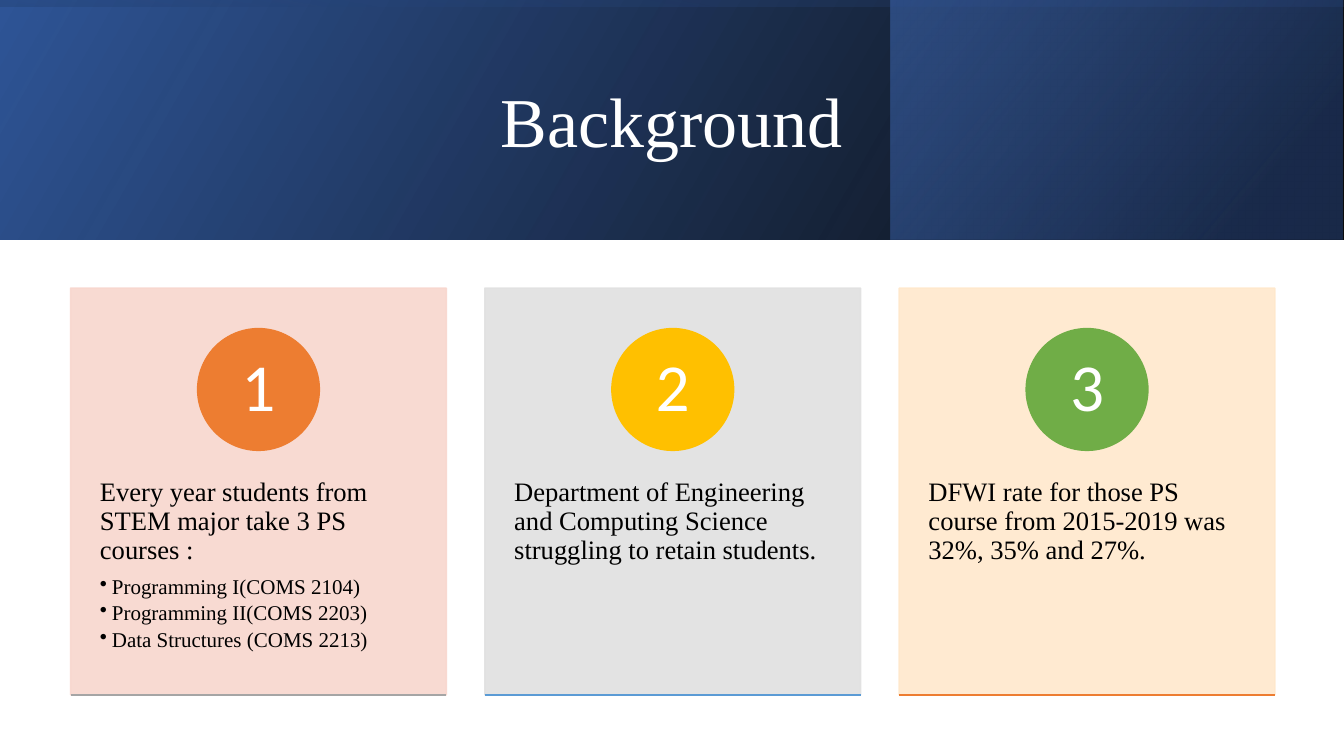
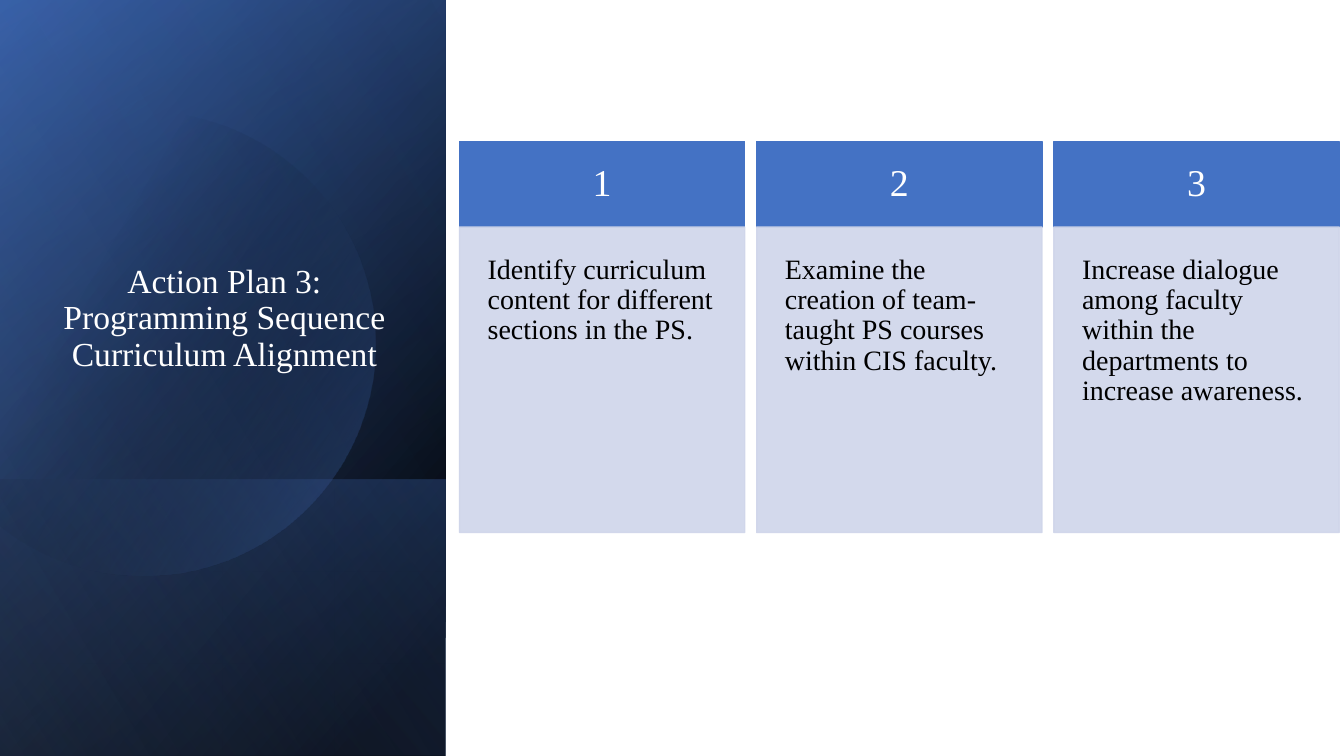
import math
from itertools import cycle

from lxml import etree
from pptx import Presentation
from pptx.dml.color import RGBColor
from pptx.enum import shapes as kinds, text as txt
from pptx.oxml.ns import qn
from pptx.util import Cm, Pt

HUES = {
    "black": "000000", "white": "FFFFFF", "navy": "2F5597", "deep": "203864",
    "blue": "4472C4", "mist": "8FAADC", "sky": "5B9BD5", "pale": "CFD5EA",
    "orange": "ED7D31", "gold": "FFC000", "green": "70AD47", "gray": "A5A5A5",
    "pink": "F8D7CE", "silver": "E1E1E1", "cream": "FFE8CC",
}
SERIF, SANS = "Times New Roman", "Calibri"
WIDE, HIGH = 33.87, 19.05
LEFT, MID = txt.PP_ALIGN.LEFT, txt.PP_ALIGN.CENTER
RECT, OVAL = kinds.MSO_SHAPE.RECTANGLE, kinds.MSO_SHAPE.OVAL

CARDS = [
    ("pink", "orange", "gray",
     ["Every year students from STEM major take 3 PS courses :",
      "Programming I(COMS 2104)",
      "Programming II(COMS 2203)",
      "Data Structures (COMS 2213)"]),
    ("silver", "gold", "sky",
     ["Department of Engineering and Computing Science struggling "
      "to retain students."]),
    ("cream", "green", "orange",
     ["DFWI rate for those PS course from 2015-2019 was 32%, 35% and 27%."]),
]
STEPS = [
    "Identify curriculum content for different sections in the PS.",
    "Examine the creation of team-taught PS courses within CIS faculty.",
    "Increase dialogue among faculty within the departments to "
    "increase awareness.",
]


def hue(name):
    return RGBColor.from_string(HUES[name])


def fade(shape, *rates):
    """Set the opacity, in percent, of the shape's colours in turn."""
    colors = shape._element.spPr.iter(qn("a:srgbClr"))
    for color, rate in zip(colors, cycle(rates)):
        if rate < 100:
            etree.SubElement(color, qn("a:alpha")).set("val", str(rate * 1000))


def blend(shape, angle, stops):
    """Fill with a gradient; angle is clockwise, a stop is (place, hue, opacity)."""
    shape.shadow.inherit = False
    shape.line.fill.background()
    shape.fill.gradient()
    shape.fill.gradient_angle = (360 - angle) % 360
    for stop, (place, name, _) in zip(shape.fill.gradient_stops, stops):
        stop.position = place / 100
        stop.color.rgb = hue(name)
    fade(shape, *[rate for _, _, rate in stops])


def wash(slide, box, turn, angle, *stops):
    """Cover the box with a mirrored gradient rectangle turned by a right angle."""
    x, y, w, h = box
    if turn:
        x, y, w, h = x + (w - h) / 2, y + (h - w) / 2, h, w
    shape = slide.shapes.add_shape(RECT, Cm(x), Cm(y), Cm(w), Cm(h))
    shape.rotation = turn
    shape._element.spPr.xfrm.set("flipH", "1")
    blend(shape, angle, stops)


def disc(slide, x, y, size):
    """Draw a glowing disc about x, y, cut off by the slide's left edge."""
    reach = math.acos(-x / size)
    count = 120
    turns = [reach * (2 * i / count - 1) for i in range(count + 1)]
    dots = [(Cm(x + size * math.cos(t)), Cm(y + size * math.sin(t)))
            for t in turns]
    path = slide.shapes.build_freeform(*dots[0])
    path.add_line_segments(dots[1:], close=True)
    blend(path.convert_to_shape(), 30, [(29, "black", 0), (100, "blue", 43)])


def style(para, size, color, font=SERIF, align=LEFT, after=0):
    para.alignment = align
    para.line_spacing = 0.9
    para.space_after = Pt(after)
    for run in para.runs:
        run.font.size = Pt(size)
        run.font.name = font
        run.font.color.rgb = hue(color)


def block(slide, kind, box, color, rate=100):
    shape = slide.shapes.add_shape(kind, *[Cm(v) for v in box])
    shape.shadow.inherit = False
    shape.fill.solid()
    shape.fill.fore_color.rgb = hue(color)
    shape.line.color.rgb = hue(color)
    shape.line.width = Pt(1)
    fade(shape, rate)
    return shape


def write(shape, words, side=0, top=0, anchor=txt.MSO_ANCHOR.MIDDLE):
    frame = shape.text_frame
    frame.word_wrap = True
    frame.vertical_anchor = anchor
    frame.margin_left = frame.margin_right = Cm(side)
    frame.margin_top, frame.margin_bottom = Cm(top), Cm(0)
    frame.text = words
    return frame.paragraphs


def head(slide, words, box, size):
    title = slide.shapes.title
    title.left, title.top, title.width, title.height = [Cm(v) for v in box]
    frame = title.text_frame
    frame.text = words
    frame.auto_size = txt.MSO_AUTO_SIZE.NONE
    frame.vertical_anchor = txt.MSO_ANCHOR.MIDDLE
    style(frame.paragraphs[0], size, "white", align=MID)
    slide.shapes._spTree.append(title._element)  # in front of the gradients


def rule(slide, x, y, w, color):
    line = slide.shapes.add_connector(
        kinds.MSO_CONNECTOR.STRAIGHT, Cm(x), Cm(y), Cm(x + w), Cm(y))
    line.line.color.rgb = hue(color)
    line.line.width = Pt(1.5)
    etree.SubElement(line._element.spPr, qn("a:effectLst"))


def dot(para):
    props = para._p.get_or_add_pPr()
    props.set("marL", str(Cm(0.3)))
    props.set("indent", str(-Cm(0.3)))
    etree.SubElement(props, qn("a:buChar")).set("char", "•")


def card(slide, box, mark, back, badge, edge, lines):
    x, y, w, h = box
    size = 3.07
    panel = block(slide, RECT, box, back, 90)
    first, *rest = write(panel, "\n".join(lines), 0.74, 4.8,
                         txt.MSO_ANCHOR.TOP)
    style(first, 19, "black", after=8)
    for para in rest:
        para.level = 1
        style(para, 15, "black", after=3)
        dot(para)
    ring = block(slide, OVAL, (x + (w - size) / 2, y + 1.02, size, size), badge)
    style(write(ring, mark)[0], 48, "white", SANS, MID)
    rule(slide, x, y + h, w, edge)


def step(slide, box, mark, words):
    x, y, w, h = box
    cap = 2.16
    top = block(slide, RECT, (x, y, w, cap), "blue")
    style(write(top, mark)[0], 27, "white", align=MID)
    body = block(slide, RECT, (x, y + cap, w, h - cap), "pale", 90)
    style(write(body, words, 0.71, 0.71, txt.MSO_ANCHOR.TOP)[0], 20, "black")


def facts(slide):
    band = (0, 0, WIDE, 6.03)
    wash(slide, band, 0, 330, (0, "black", 96), (100, "navy", 100))
    wash(slide, (22.45, 0, 11.38, 6.03), 0, 320,
         (19, "deep", 68), (100, "blue", 48))
    wash(slide, band, 270, 350, (23, "navy", 16), (99, "black", 45))
    head(slide, "Background", (0, 0.97, WIDE, 4.37), 50)
    for i, parts in enumerate(CARDS):
        card(slide, (1.78 + 10.44 * i, 7.26, 9.47, 10.25), str(i + 1), *parts)


def plan(slide):
    side = (0, 0, 11.23, HIGH)
    wash(slide, side, 90, 50, (8, "black", 100), (100, "navy", 100))
    wash(slide, side, 90, 30, (0, "black", 0), (99, "blue", 46))
    wash(slide, (0, 12.09, 11.23, 6.96), 90, 130,
         (2, "blue", 29), (100, "black", 30))
    disc(slide, 3.63, 8.66, 5.84)
    wash(slide, side, 90, 120, (0, "black", 0), (99, "mist", 11))
    head(slide, "Action Plan 3:\vProgramming Sequence Curriculum Alignment",
         (0.03, 4.75, 11.25, 6.58), 24)
    for i, words in enumerate(STEPS):
        step(slide, (11.58 + 7.49 * i, 3.56, 7.19, 9.86), str(i + 1), words)


def main():
    deck = Presentation()
    deck.slide_width, deck.slide_height = Cm(WIDE), Cm(HIGH)
    for fill in (facts, plan):
        fill(deck.slides.add_slide(deck.slide_layouts[5]))
    deck.save("out.pptx")


if __name__ == "__main__":
    main()
